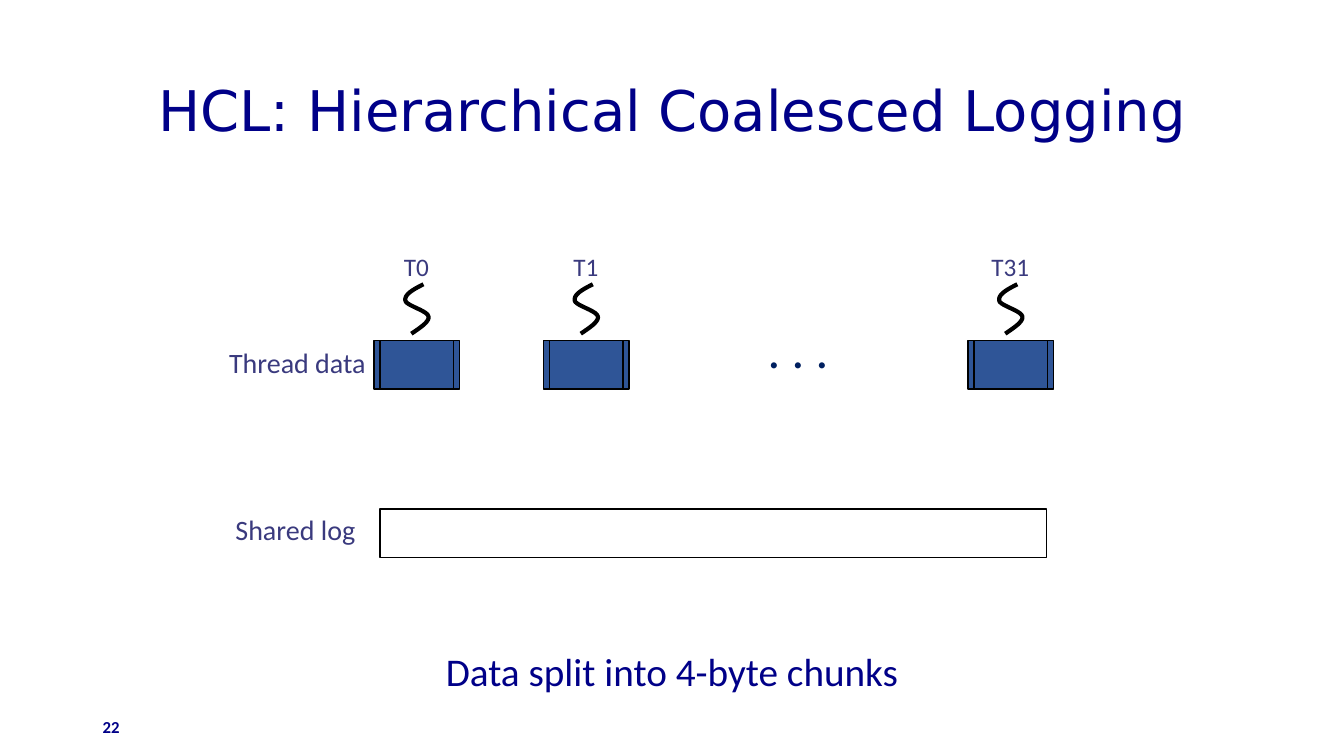
from dataclasses import dataclass

from pptx import Presentation
from pptx.dml.color import RGBColor
from pptx.enum.shapes import MSO_SHAPE
from pptx.enum.text import MSO_ANCHOR, PP_ALIGN
from pptx.shapes.autoshape import Shape
from pptx.slide import Slide
from pptx.util import Emu, Pt

EMU_PER_PX = 9144  # 100 px to the inch
RECTANGLE = MSO_SHAPE.RECTANGLE
TOP, MIDDLE = MSO_ANCHOR.TOP, MSO_ANCHOR.MIDDLE
LEFT, CENTER = PP_ALIGN.LEFT, PP_ALIGN.CENTER

Point = tuple[int, int]


@dataclass(frozen=True)
class Theme:
    navy: RGBColor = RGBColor(0x00, 0x00, 0x88)
    label: RGBColor = RGBColor(0x3A, 0x3A, 0x7E)
    dots: RGBColor = RGBColor(0x00, 0x20, 0x60)
    block: RGBColor = RGBColor(0x2F, 0x55, 0x97)
    line: RGBColor = RGBColor(0x00, 0x00, 0x00)
    title_font: str = "DejaVu Sans"
    body_font: str = "Calibri"
    title_size: int = 40
    dots_size: int = 36
    caption_size: int = 28
    row_size: int = 20
    thread_size: int = 18
    number_size: int = 12


THEME = Theme()


@dataclass(frozen=True)
class Box:
    left: int
    top: int
    width: int
    height: int

    def emu(self) -> tuple[Emu, Emu, Emu, Emu]:
        return px(self.left), px(self.top), px(self.width), px(self.height)


@dataclass(frozen=True)
class Label:
    text: str
    box: Box
    size: int
    color: RGBColor = THEME.label
    font: str = THEME.body_font
    align: PP_ALIGN = CENTER
    anchor: MSO_ANCHOR = TOP
    bold: bool = False
    wrap: bool = True
    line_spacing: float = 1.0
    space_before: int = 0


@dataclass(frozen=True)
class Thread:
    name: str
    left: int


THREADS = [Thread("T0", 377), Thread("T1", 545), Thread("T31", 966)]
BLOCK_TOP, BLOCK_WIDTH, BLOCK_HEIGHT = 338, 73, 48
CHUNK_WIDTH = 36
CHUNK_OFFSETS = (-6, 43)
SHARED_LOG = Box(377, 505, 661, BLOCK_HEIGHT)

# Bezier control points, x from the left edge of the thread's block
SQUIGGLE_START: Point = (43, 282)
SQUIGGLE_CURVES: list[tuple[Point, Point, Point]] = [
    ((33, 287), (24, 292), (25, 298)),
    ((25, 303), (47, 308), (48, 314)),
    ((49, 319), (40, 325), (31, 331)),
]
CURVE_STEPS = 10

LABELS = [
    Label("HCL: Hierarchical Coalesced Logging", Box(92, 40, 1150, 145),
          THEME.title_size, THEME.navy, THEME.title_font,
          anchor=MIDDLE, line_spacing=0.9),
    Label("Thread data", Box(207, 338, 176, 44), THEME.row_size),
    Label(". . .", Box(751, 311, 81, 71), THEME.dots_size, THEME.dots, wrap=False),
    Label("Shared log", Box(215, 504, 156, 44), THEME.row_size),
    Label("Data split into 4-byte chunks", Box(0, 643, 1333, 107),
          THEME.caption_size, THEME.navy, line_spacing=0.9, space_before=10),
    Label("22", Box(92, 701, 300, 40), THEME.number_size, THEME.navy,
          align=LEFT, anchor=MIDDLE, bold=True),
]


def px(length: float) -> Emu:
    return Emu(round(length * EMU_PER_PX))


def style_outline(shape: Shape, width: int) -> None:
    shape.shadow.inherit = False
    shape.line.color.rgb = THEME.line
    shape.line.width = Pt(width)


def add_rectangle(slide: Slide, box: Box, fill: RGBColor | None = None) -> None:
    shape = slide.shapes.add_shape(RECTANGLE, *box.emu())
    style_outline(shape, 1)
    if fill is None:
        shape.fill.background()
    else:
        shape.fill.solid()
        shape.fill.fore_color.rgb = fill


def add_label(slide: Slide, label: Label) -> None:
    text_frame = slide.shapes.add_textbox(*label.box.emu()).text_frame
    text_frame.word_wrap = label.wrap
    text_frame.vertical_anchor = label.anchor
    text_frame.text = label.text
    paragraph = text_frame.paragraphs[0]
    paragraph.alignment = label.align
    paragraph.line_spacing = label.line_spacing
    paragraph.space_before = Pt(label.space_before)
    font = paragraph.runs[0].font
    font.name = label.font
    font.size = Pt(label.size)
    font.bold = label.bold
    font.color.rgb = label.color


def curve_points(start: Point, first: Point, second: Point,
                 end: Point) -> list[tuple[float, float]]:
    """Sample a cubic Bezier curve, leaving out its start."""
    points = []
    for step in range(1, CURVE_STEPS + 1):
        t = step / CURVE_STEPS
        weights = ((1 - t) ** 3, 3 * t * (1 - t) ** 2, 3 * t ** 2 * (1 - t), t ** 3)
        controls = (start, first, second, end)
        x = sum(weight * point[0] for weight, point in zip(weights, controls))
        y = sum(weight * point[1] for weight, point in zip(weights, controls))
        points.append((x, y))
    return points


def add_squiggle(slide: Slide, left: int) -> None:
    start = SQUIGGLE_START
    builder = slide.shapes.build_freeform(px(left + start[0]), px(start[1]))
    for first, second, end in SQUIGGLE_CURVES:
        points = curve_points(start, first, second, end)
        builder.add_line_segments([(px(left + x), px(y)) for x, y in points], close=False)
        start = end
    squiggle = builder.convert_to_shape()
    squiggle.fill.background()
    style_outline(squiggle, 3)


def add_thread(slide: Slide, thread: Thread) -> None:
    for offset in CHUNK_OFFSETS:
        chunk = Box(thread.left + offset, BLOCK_TOP, CHUNK_WIDTH, BLOCK_HEIGHT)
        add_rectangle(slide, chunk, THEME.block)
    block = Box(thread.left, BLOCK_TOP, BLOCK_WIDTH, BLOCK_HEIGHT)
    add_rectangle(slide, block, THEME.block)
    add_squiggle(slide, thread.left)
    name_box = Box(thread.left + 7, 244, 58, 40)
    add_label(slide, Label(thread.name, name_box, THEME.thread_size, wrap=False))


def main() -> None:
    presentation = Presentation()
    presentation.slide_width, presentation.slide_height = px(1333), px(750)
    slide = presentation.slides.add_slide(presentation.slide_layouts[6])
    for thread in THREADS:
        add_thread(slide, thread)
    add_rectangle(slide, SHARED_LOG)
    for label in LABELS:
        add_label(slide, label)
    presentation.save("out.pptx")


if __name__ == "__main__":
    main()
